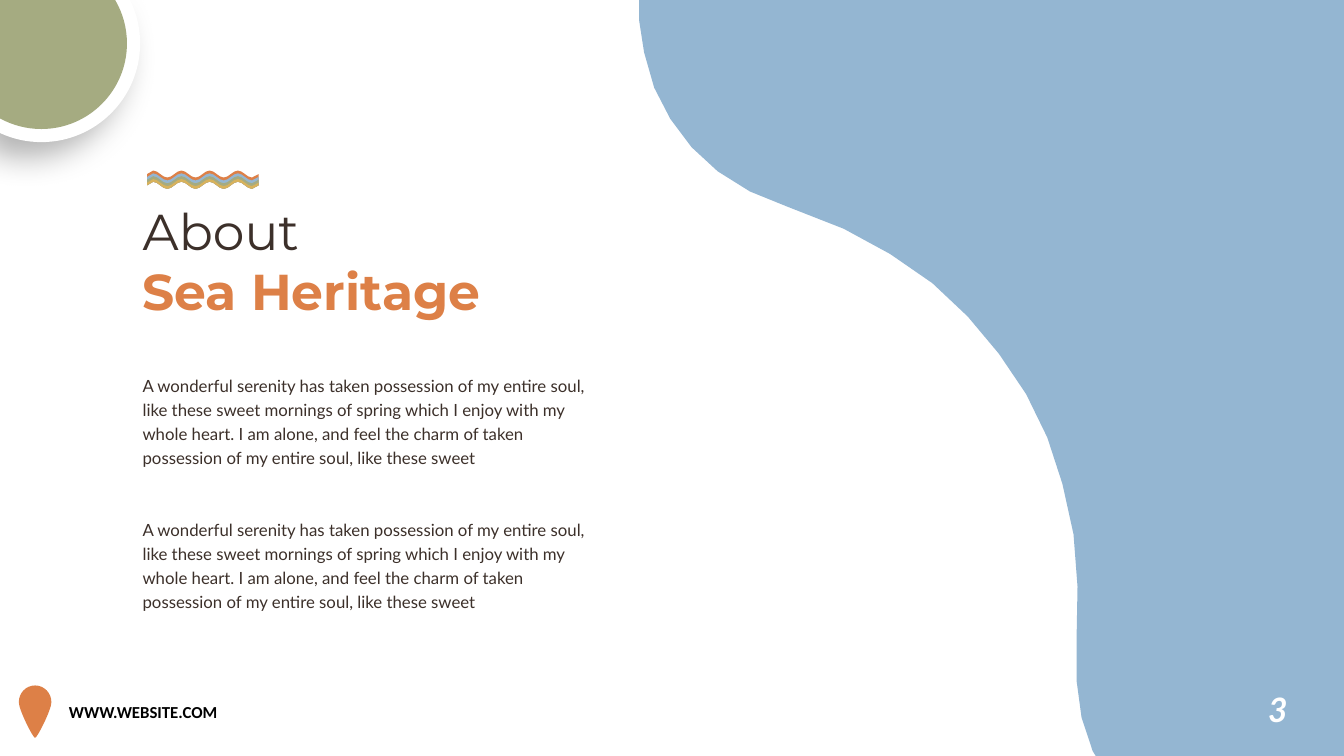
from dataclasses import dataclass
from math import acos, asin, cos, pi, sin, tan

from lxml.etree import SubElement
from pptx import Presentation
from pptx.dml.color import RGBColor as Color
from pptx.enum.text import MSO_ANCHOR as Anchor, MSO_AUTO_SIZE as AutoSize, PP_ALIGN as Align
from pptx.oxml.ns import qn
from pptx.util import Inches, Pt

# The slide is a grid of 160 columns by 90 rows of square cells.
COLUMNS, ROWS = 160, 90
CELL = Inches(7.5) / ROWS

WHITE = Color(0xFF, 0xFF, 0xFF)
BLACK = Color(0x00, 0x00, 0x00)
BLUE = Color(0x94, 0xB6, 0xD2)
ORANGE = Color(0xDD, 0x80, 0x47)
GREEN = Color(0xA5, 0xAB, 0x81)
SAND = Color(0xD8, 0xB2, 0x5C)
BROWN = Color(0x3C, 0x30, 0x2A)

Point = tuple[float, float]
# A step holds one point for a straight line, or three for a Bezier curve.
Step = tuple[Point, ...]

SHORELINE: list[Point] = [
    (76.08, 0), (76.08, 2.4), (76.68, 6.24), (77.88, 10.44), (79.8, 14.16),
    (82.32, 17.52), (85.44, 20.4), (89.28, 22.8), (93.72, 24.6), (94.32, 24.84),
    (100.44, 27.24), (105.96, 30.24), (111, 33.72), (115.2, 37.68),
    (118.92, 42.12), (122.16, 46.92), (124.68, 52.08), (126.48, 57.6),
    (127.8, 63.6), (128.28, 69.84), (128.16, 76.44), (128.16, 81),
    (128.76, 85.44), (130.08, 89.4), (130.44, 90),
]
STORY = (
    "A wonderful serenity has taken possession of my entire soul, like these "
    "sweet mornings of spring which I enjoy with my whole heart. I am alone, "
    "and feel the charm of taken possession of my entire soul, like these sweet"
)


@dataclass(frozen=True)
class Line:
    text: str
    size: int
    font: str
    color: Color
    bold: bool = False
    italic: bool = False
    spacing: float = 1.0


@dataclass(frozen=True)
class Block:
    column: float
    row: float
    columns: float
    rows: float
    lines: tuple[Line, ...]
    wrap: bool = True


TITLE = Block(15.78, 23.22, 45.24, 15.72, (
    Line("About", 36, "Montserrat", BROWN),
    Line("Sea Heritage", 36, "Montserrat", ORANGE, bold=True),
))
STORY_LINE = Line(STORY, 12, "Lato", BROWN, spacing=1.2)
BLOCKS = [
    Block(149.8, 81.45, 4.8, 6, (Line("3", 24, "Lato", WHITE, True, True),), wrap=False),
    Block(7.02, 82.9, 30.4, 3.6, (Line("WWW.WEBSITE.COM", 12, "Calibri", BLACK, True),)),
    *(Block(15.8, row, 55.56, 12.6, (STORY_LINE,)) for row in (43.6, 60.76)),
]


def cells(count: float) -> int:
    return round(count * CELL)


def draw_outline(page, start: Point, steps: list[Step], color: Color):
    corners = [(cells(column), cells(row)) for step in steps for column, row in step]
    builder = page.shapes.build_freeform(cells(start[0]), cells(start[1]), scale=1.0)
    builder.add_line_segments(corners, close=True)
    shape = builder.convert_to_shape()
    lines = iter(list(shape._element.iter(qn("a:lnTo"))))
    for step in steps:
        parts = [next(lines) for _ in step]
        if len(parts) == 3:
            first = parts[0]
            first.tag = qn("a:cubicBezTo")
            for part in parts[1:]:
                first.append(part[0])
                part.getparent().remove(part)
    shape.fill.solid()
    shape.fill.fore_color.rgb = color
    shape.line.fill.background()
    shape.shadow.inherit = False
    return shape


def draw_corner_disc(page, radius: float, color: Color):
    """Draw a disc cut off by the slide's top left corner."""
    column, row = 4.92, 5.16

    def on_rim(angle: float, along: float = 0) -> Point:
        return (column + radius * (cos(angle) - along * sin(angle)),
                row + radius * (sin(angle) + along * cos(angle)))

    angles = [asin(-row / radius), 0, pi / 2, acos(-column / radius)]
    steps: list[Step] = [(on_rim(angles[0]),)]
    for begin, end in zip(angles, angles[1:]):
        reach = 4 / 3 * tan((end - begin) / 4)
        steps.append((on_rim(begin, reach), on_rim(end, -reach), on_rim(end)))
    return draw_outline(page, (0, 0), steps, color)


def draw_pin(page) -> None:
    middle, top, shoulder, tip, half = 4.18, 81.6, 83.6, 87.84, 1.94
    right, left = middle + half, middle - half
    steps: list[Step] = [
        ((middle + 1.08, top), (right, 82.5), (right, shoulder)),
        ((right, 84.5), (middle + 0.25, tip), (middle, tip)),
        ((middle - 0.25, tip), (left, 84.5), (left, shoulder)),
        ((left, 82.5), (middle - 1.08, top), (middle, top)),
    ]
    draw_outline(page, (middle, top), steps, ORANGE)


def draw_wave(page, top: float, bottom: float, color: Color) -> None:
    """Draw the band between two parallel waves at the given middle rows."""
    left, right, first_peak, half_period, height = 17.52, 30.8, 18.24, 1.68, 0.42
    reach = 0.364 * half_period

    def crests(middle: float) -> list[Point]:
        return [(first_peak + half_period * i, middle - height * (-1) ** i) for i in range(8)]

    def ride(nodes: list[Point], pull: float) -> list[Step]:
        return [((a[0] + pull, a[1]), (b[0] - pull, b[1]), b) for a, b in zip(nodes, nodes[1:])]

    over, under = crests(top), crests(bottom)[::-1]
    steps: list[Step] = [
        (over[0],), *ride(over, reach), ((right, top),),
        ((right, bottom),), (under[0],), *ride(under, -reach), ((left, bottom),),
    ]
    draw_outline(page, (left, top), steps, color)


def add_shadow(shape) -> None:
    effects = shape._element.spPr.find(qn("a:effectLst"))
    shadow = SubElement(effects, qn("a:outerShdw"), blurRad=str(Pt(23)), dist=str(Pt(15)),
                        dir=str(135 * 60000), algn="ctr", rotWithShape="0")
    color = SubElement(shadow, qn("a:srgbClr"), val=str(BLACK))
    SubElement(color, qn("a:alpha"), val="29000")


def fill_block(box, block: Block) -> None:
    box.left, box.top = cells(block.column), cells(block.row)
    box.width, box.height = cells(block.columns), cells(block.rows)
    frame = box.text_frame
    frame.word_wrap = block.wrap
    frame.auto_size = AutoSize.SHAPE_TO_FIT_TEXT
    frame.vertical_anchor = Anchor.TOP
    for index, line in enumerate(block.lines):
        para = frame.add_paragraph() if index else frame.paragraphs[0]
        para.alignment = Align.LEFT
        para.line_spacing = line.spacing
        span = para.add_run()
        span.text = line.text
        span.font.name, span.font.size = line.font, Pt(line.size)
        span.font.bold, span.font.italic = line.bold, line.italic
        span.font.color.rgb = line.color


def main() -> None:
    deck = Presentation()
    deck.slide_width, deck.slide_height = cells(COLUMNS), cells(ROWS)
    page = deck.slides.add_slide(deck.slide_layouts[5])
    fill_block(page.shapes.title, TITLE)

    shore: list[Step] = [(point,) for point in (*SHORELINE, (COLUMNS, ROWS))]
    draw_outline(page, (COLUMNS, 0), shore, BLUE)
    draw_pin(page)
    add_shadow(draw_corner_disc(page, 11.76, WHITE))
    draw_corner_disc(page, 10.2, GREEN)
    for index, color in enumerate((ORANGE, BLUE, GREEN, SAND)):
        draw_wave(page, 20.72 + 0.34 * index, 22.06, color)
    for block in BLOCKS:
        fill_block(page.shapes.add_textbox(0, 0, 0, 0), block)
    deck.save("out.pptx")


if __name__ == "__main__":
    main()
